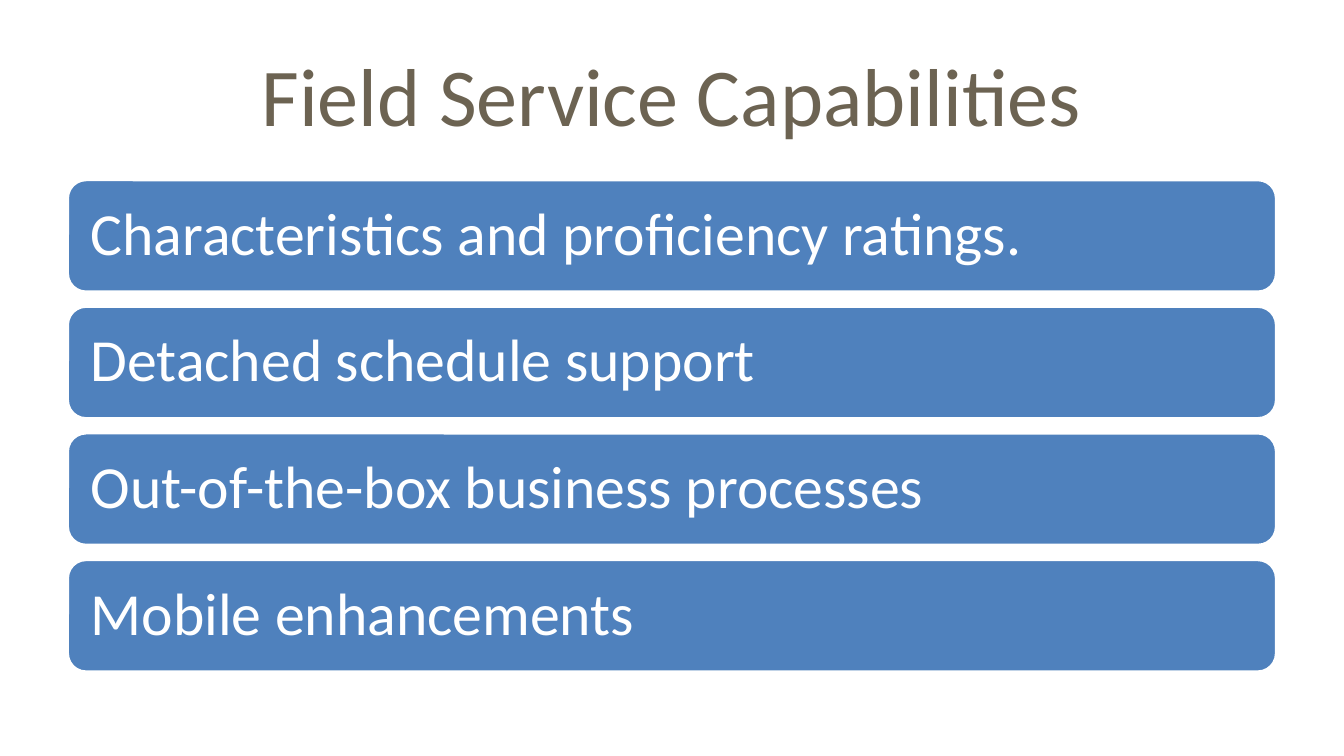
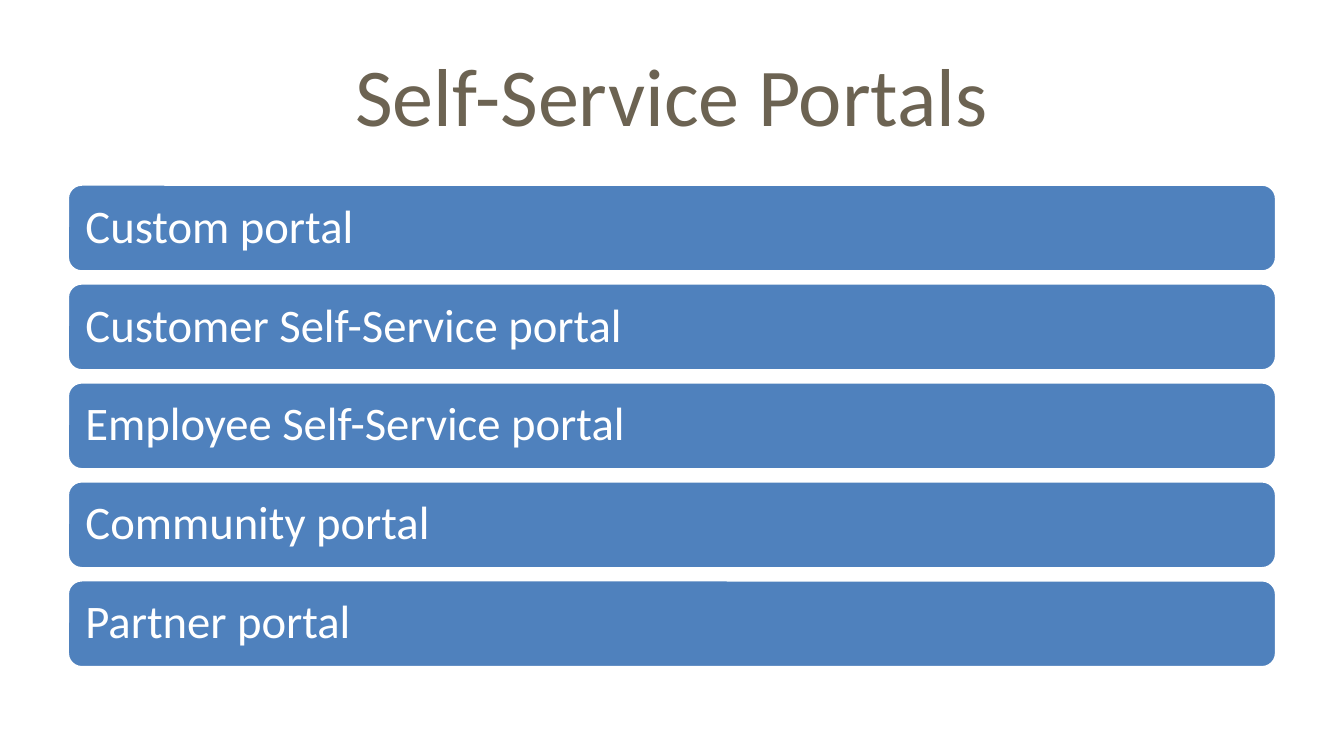
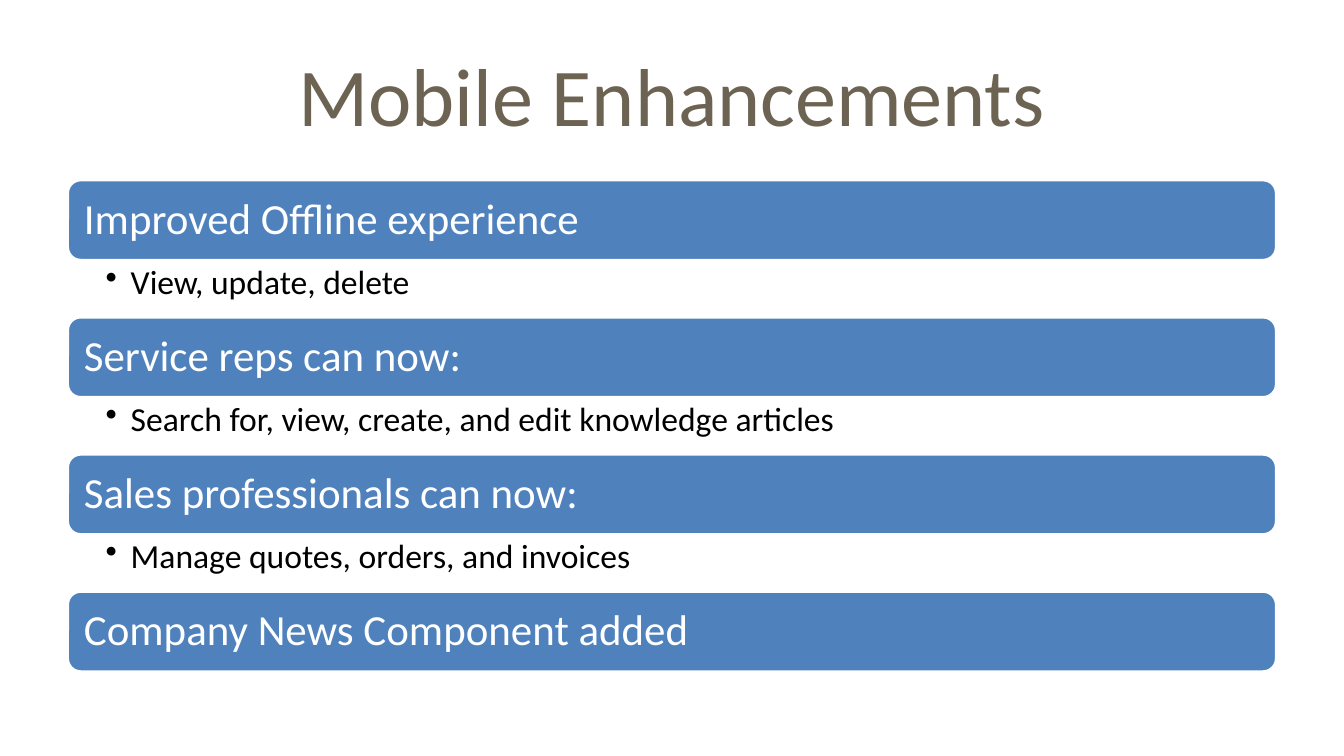
import pptx
import pptx.dml.color
import pptx.enum.shapes
import pptx.enum.text
import pptx.oxml.ns
import pptx.util
from lxml import etree

Pt = pptx.util.Pt
RGBColor = pptx.dml.color.RGBColor
MIDDLE = pptx.enum.text.MSO_ANCHOR.MIDDLE
TOP = pptx.enum.text.MSO_ANCHOR.TOP
LEFT = pptx.enum.text.PP_ALIGN.LEFT
CENTER = pptx.enum.text.PP_ALIGN.CENTER

# title, bar text size, (bar text, note under the bar)
SLIDES = [
    ("Field Service Capabilities", 32, [
        ("Characteristics and proficiency ratings.", None),
        ("Detached schedule support", None),
        ("Out-of-the-box business processes", None),
        ("Mobile enhancements", None),
    ]),
    ("Self-Service Portals", 25, [
        ("Custom portal", None),
        ("Customer Self-Service portal", None),
        ("Employee Self-Service portal", None),
        ("Community portal", None),
        ("Partner portal", None),
    ]),
    ("Mobile Enhancements", 23, [
        ("Improved Offline experience", "View, update, delete"),
        ("Service reps can now:",
         "Search for, view, create, and edit knowledge articles"),
        ("Sales professionals can now:", "Manage quotes, orders, and invoices"),
        ("Company News Component added", None),
    ]),
]

TAUPE = RGBColor(0x6C, 0x63, 0x52)
BLUE = RGBColor(0x4F, 0x81, 0xBD)
WHITE = RGBColor(0xFF, 0xFF, 0xFF)
BLACK = RGBColor(0x00, 0x00, 0x00)
FONT = "Calibri"

SLIDE_WIDTH, SLIDE_HEIGHT = 720, 405
MARGIN = 36
CONTENT_WIDTH = SLIDE_WIDTH - 2 * MARGIN
TITLE_TOP, TITLE_HEIGHT, TITLE_SIZE = 16.2, 67.5, 44
LIST_MIDDLE = 228.15

# bar measures as shares of the bar's text size
BAR_HEIGHT, BAR_GAP, BAR_INSET = 1.89, 0.23, 0.3

NOTE_HEIGHT, NOTE_SIZE, NOTE_INDENT = 30, 18, 13.5
NOTE_INSETS = (20.57, 2.3, 12.8, 2.3)


def write(shape, text, size, color, align, anchor, insets):
    """Fill the shape's frame with one run; insets run left, top, right, bottom."""
    frame = shape.text_frame
    frame.word_wrap = True
    frame.auto_size = pptx.enum.text.MSO_AUTO_SIZE.NONE
    frame.vertical_anchor = anchor
    (frame.margin_left, frame.margin_top,
     frame.margin_right, frame.margin_bottom) = map(Pt, insets)
    paragraph = frame.paragraphs[0]
    paragraph.alignment = align
    run = paragraph.add_run()
    run.text = text
    run.font.name = FONT
    run.font.size = Pt(size)
    run.font.color.rgb = color
    return paragraph


def add_title(slide, text):
    title = slide.shapes.title
    title.left, title.top = Pt(MARGIN), Pt(TITLE_TOP)
    title.width, title.height = Pt(CONTENT_WIDTH), Pt(TITLE_HEIGHT)
    write(title, text, TITLE_SIZE, TAUPE, CENTER, MIDDLE, (7.2, 3.6, 7.2, 3.6))


def add_bar(slide, text, size, top):
    bar = slide.shapes.add_shape(
        pptx.enum.shapes.MSO_SHAPE.ROUNDED_RECTANGLE,
        Pt(MARGIN), Pt(top), Pt(CONTENT_WIDTH), Pt(size * BAR_HEIGHT))
    bar.shadow.inherit = False
    bar.fill.solid()
    bar.fill.fore_color.rgb = BLUE
    bar.line.color.rgb = WHITE
    bar.line.width = Pt(2)
    paragraph = write(bar, text, size, WHITE, LEFT, MIDDLE, [size * BAR_INSET] * 4)
    paragraph.line_spacing = 0.9


def add_note(slide, text, top):
    note = slide.shapes.add_textbox(
        Pt(MARGIN), Pt(top), Pt(CONTENT_WIDTH), Pt(NOTE_HEIGHT))
    paragraph = write(note, text, NOTE_SIZE, BLACK, LEFT, TOP, NOTE_INSETS)
    paragraph.level = 1
    properties = paragraph._p.get_or_add_pPr()
    properties.set("marL", str(Pt(NOTE_INDENT)))
    properties.set("indent", str(-Pt(NOTE_INDENT)))
    etree.SubElement(properties, pptx.oxml.ns.qn("a:buChar"), char="•")
    paragraph.line_spacing = 0.9


def add_bar_list(slide, size, items):
    """Stack the bars, each followed by its note or a gap, around LIST_MIDDLE."""
    steps = [size * BAR_HEIGHT + (NOTE_HEIGHT if note else size * BAR_GAP)
             for _, note in items]
    list_height = sum(steps[:-1]) + size * BAR_HEIGHT
    top = LIST_MIDDLE - list_height / 2
    for (text, note), step in zip(items, steps):
        add_bar(slide, text, size, top)
        if note:
            add_note(slide, note, top + size * BAR_HEIGHT)
        top += step


def main():
    deck = pptx.Presentation()
    deck.slide_width, deck.slide_height = Pt(SLIDE_WIDTH), Pt(SLIDE_HEIGHT)
    title_only = deck.slide_layouts.get_by_name("Title Only")
    for title, size, items in SLIDES:
        slide = deck.slides.add_slide(title_only)
        add_title(slide, title)
        add_bar_list(slide, size, items)
    deck.save("out.pptx")


if __name__ == "__main__":
    main()
